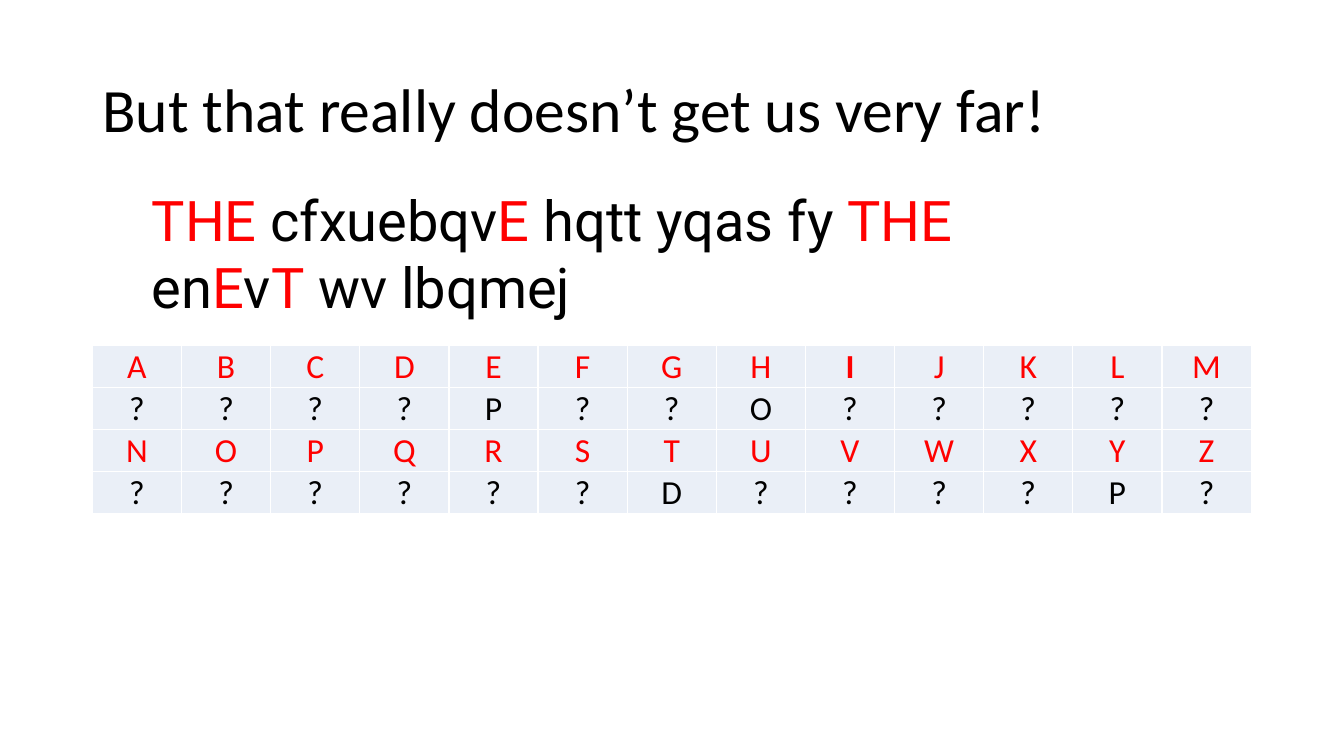
"""Build the slide that shows a partly solved substitution cipher."""
import dataclasses
import itertools

import lxml.etree
import pptx
import pptx.dml.color
import pptx.enum.text
import pptx.oxml.ns
import pptx.slide
import pptx.table
import pptx.text.text
import pptx.util

EMU_PER_PX = 9525
BLACK, RED, WHITE, PALE_BLUE = "000000", "FF0000", "FFFFFF", "EAEFF7"
HEADING = "But that really doesn’t get us very far!"
CIPHERTEXT = "THE cfxuebqvE hqtt yqas fy THE enEvT wv lbqmej"


@dataclasses.dataclass(frozen=True)
class KeyRow:
    """One row of the key, with a character for each column."""

    letters: str
    color: str
    bold_letters: str = ""


KEY_ROWS = [
    KeyRow("ABCDEFGHIJKLM", RED, bold_letters="I"),
    KeyRow("????P??O?????", BLACK),
    KeyRow("NOPQRSTUVWXYZ", RED),
    KeyRow("??????D????P?", BLACK),
]


def px(length: int) -> pptx.util.Emu:
    """Turn pixels into EMU."""
    return pptx.util.Emu(length * EMU_PER_PX)


def rgb(color: str) -> pptx.dml.color.RGBColor:
    """Turn a hex string into a colour."""
    return pptx.dml.color.RGBColor.from_string(color)


def set_font(font: pptx.text.text.Font, name: str, size: int) -> None:
    """Set the typeface and the size in points."""
    font.name = name
    font.size = pptx.util.Pt(size)


def add_heading(slide: pptx.slide.Slide) -> None:
    """Place and format the title."""
    heading = slide.shapes.title
    heading.left, heading.top = px(88), px(38)
    heading.width, heading.height = px(1104), px(139)
    frame = heading.text_frame
    frame.text = HEADING
    frame.auto_size = pptx.enum.text.MSO_AUTO_SIZE.NONE
    frame.vertical_anchor = pptx.enum.text.MSO_ANCHOR.MIDDLE
    paragraph = frame.paragraphs[0]
    paragraph.alignment = pptx.enum.text.PP_ALIGN.LEFT
    paragraph.line_spacing = 0.9
    set_font(paragraph.font, "Calibri", 44)
    paragraph.font.color.rgb = rgb(BLACK)


def add_ciphertext(slide: pptx.slide.Slide) -> None:
    """Write the message with its solved capitals in red."""
    message = slide.shapes.add_textbox(px(135), px(172), px(933), px(139))
    frame = message.text_frame
    frame.word_wrap = True
    frame.auto_size = pptx.enum.text.MSO_AUTO_SIZE.SHAPE_TO_FIT_TEXT
    paragraph = frame.paragraphs[0]
    set_font(paragraph.font, "Roboto", 40)
    for solved, letters in itertools.groupby(CIPHERTEXT, str.isupper):
        run = paragraph.add_run()
        run.text = "".join(letters)
        run.font.color.rgb = rgb(RED if solved else BLACK)


def add_borders(cell: pptx.table._Cell, color: str) -> None:
    """Give a cell one-point borders on all sides."""
    properties = cell._tc.get_or_add_tcPr()
    qn = pptx.oxml.ns.qn
    for side in ("a:lnL", "a:lnR", "a:lnT", "a:lnB"):
        border = lxml.etree.SubElement(properties, qn(side), w=str(pptx.util.Pt(1)))
        fill = lxml.etree.SubElement(border, qn("a:solidFill"))
        lxml.etree.SubElement(fill, qn("a:srgbClr"), val=color)


def fill_key_cell(cell: pptx.table._Cell, letter: str, row: KeyRow) -> None:
    """Write and format one letter of the key."""
    cell.text = letter
    cell.margin_left = cell.margin_right = cell.margin_top = px(1)
    cell.margin_bottom = px(0)
    cell.vertical_anchor = pptx.enum.text.MSO_ANCHOR.BOTTOM
    add_borders(cell, WHITE)
    cell.fill.solid()
    cell.fill.fore_color.rgb = rgb(PALE_BLUE)
    paragraph = cell.text_frame.paragraphs[0]
    paragraph.alignment = pptx.enum.text.PP_ALIGN.CENTER
    set_font(paragraph.font, "Calibri", 24)
    paragraph.font.color.rgb = rgb(row.color)
    paragraph.font.bold = letter in row.bold_letters


def add_key(slide: pptx.slide.Slide) -> None:
    """Draw the table that pairs letters with their guesses."""
    columns = len(KEY_ROWS[0].letters)
    key = slide.shapes.add_table(
        len(KEY_ROWS), columns, px(88), px(329), px(1104), px(40 * len(KEY_ROWS))
    ).table
    key.first_row = key.horz_banding = False
    for row_index, row in enumerate(KEY_ROWS):
        for column_index, letter in enumerate(row.letters):
            fill_key_cell(key.cell(row_index, column_index), letter, row)


def main() -> None:
    """Build and save the presentation."""
    presentation = pptx.Presentation()
    presentation.slide_width, presentation.slide_height = px(1280), px(720)
    slide = presentation.slides.add_slide(presentation.slide_layouts[5])
    add_heading(slide)
    add_key(slide)
    add_ciphertext(slide)
    presentation.save("out.pptx")


if __name__ == "__main__":
    main()
